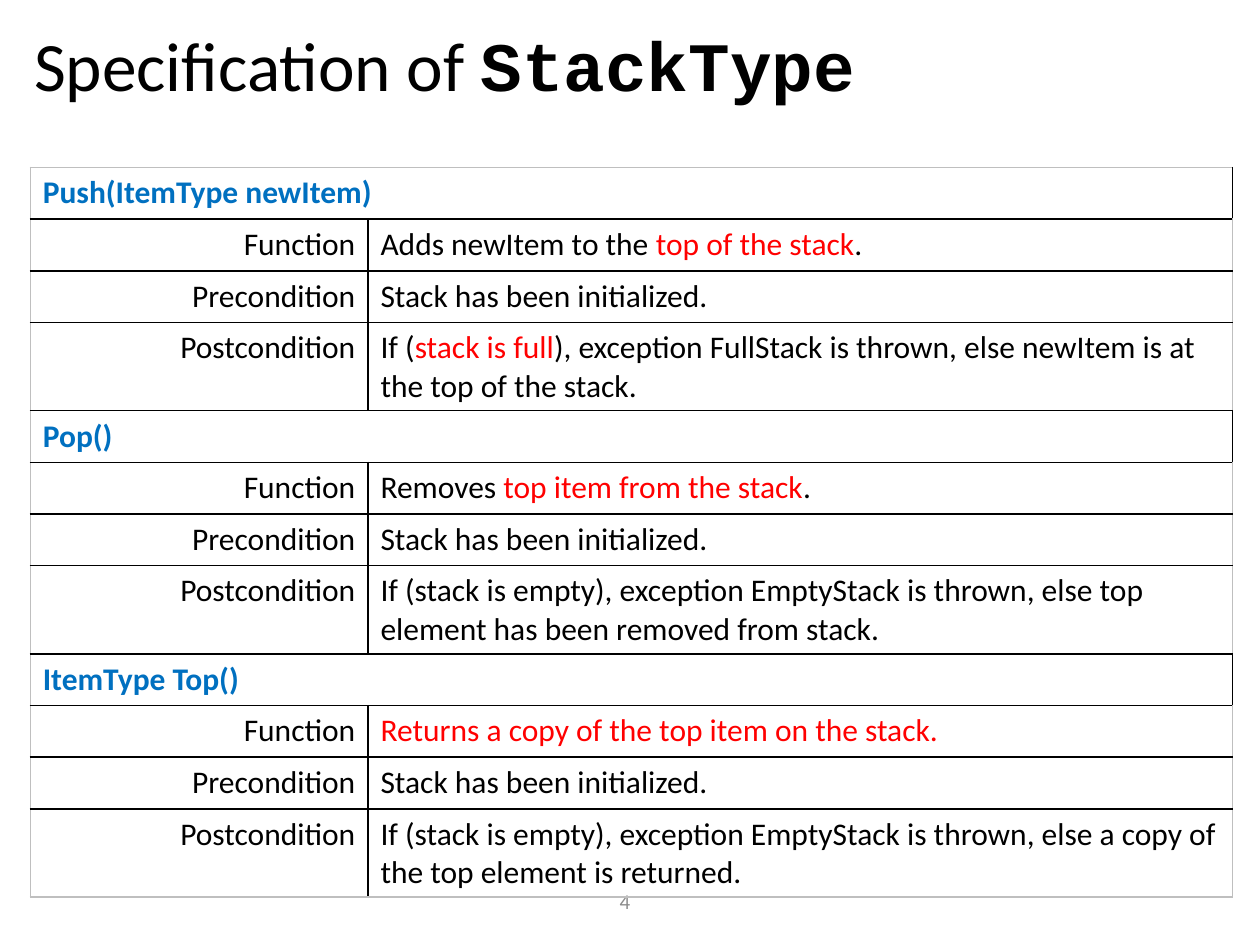
from lxml import etree
from pptx import Presentation
from pptx.dml.color import RGBColor
from pptx.enum import text
from pptx.oxml import ns
from pptx.util import Inches, Pt

BLACK = RGBColor(0x00, 0x00, 0x00)
BLUE = RGBColor(0x00, 0x70, 0xC0)
RED = RGBColor(0xFF, 0x00, 0x00)
GRAY = RGBColor(0x8C, 0x8C, 0x8C)
EDGE = RGBColor(0xBF, 0xBF, 0xBF)

LEFT, CENTER, RIGHT = text.PP_ALIGN.LEFT, text.PP_ALIGN.CENTER, text.PP_ALIGN.RIGHT
READY = [("Stack has been initialized.", {})]

# Each operation: signature, then its labelled conditions as runs
OPERATIONS = [
    ("Push(ItemType newItem)", {
        "Function": [("Adds newItem to the ", {}),
                     ("top of the stack", {"color": RED}), (".", {})],
        "Precondition": READY,
        "Postcondition": [("If (", {}), ("stack is full", {"color": RED}),
                          ("), exception FullStack is thrown, else newItem is at "
                           "the top of the stack.", {})],
    }),
    ("Pop()", {
        "Function": [("Removes ", {}),
                     ("top item from the stack", {"color": RED}), (".", {})],
        "Precondition": READY,
        "Postcondition": [("If (stack is empty), exception EmptyStack is thrown, else top "
                           "element has been removed from stack.", {})],
    }),
    ("ItemType Top()", {
        "Function": [("Returns a copy of the top item on the stack.", {"color": RED})],
        "Precondition": READY,
        "Postcondition": [("If (stack is empty), exception EmptyStack is thrown, else a copy "
                           "of the top element is returned.", {})],
    }),
]


def write(frame, runs, align=LEFT, size=18, spacing=None):
    """Fill the frame's first paragraph with (words, format) runs."""
    paragraph = frame.paragraphs[0]
    paragraph.alignment = align
    paragraph.line_spacing = spacing
    for words, style in runs:
        run = paragraph.add_run()
        run.text = words
        run.font.size = Pt(size)
        run.font.name = style.get("font", "Calibri")
        run.font.bold = style.get("bold", False)
        run.font.color.rgb = style.get("color", BLACK)


def set_borders(cell, colors):
    """Draw one-point borders, given as {side: colour} in the order L, R, T, B."""
    properties = cell._tc.get_or_add_tcPr()
    for side, color in colors.items():
        line = etree.SubElement(properties, ns.qn(f"a:ln{side}"), w=str(Pt(1)))
        fill = etree.SubElement(line, ns.qn("a:solidFill"))
        etree.SubElement(fill, ns.qn("a:srgbClr"), val=str(color))


def place_title(slide, left, top, width, height):
    title = slide.shapes.title
    title.left, title.top, title.width, title.height = left, top, width, height
    frame = title.text_frame
    frame.auto_size = text.MSO_AUTO_SIZE.NONE
    frame.vertical_anchor = text.MSO_ANCHOR.MIDDLE
    write(frame, [("Specification of ", {}),
                  ("StackType", {"font": "Courier New", "bold": True})],
          size=39.6, spacing=0.9)


def place_specification(slide, left, top, width, row_height):
    row_count = sum(1 + len(conditions) for _, conditions in OPERATIONS)
    table = slide.shapes.add_table(row_count, 2, left, top, width,
                                   row_height * row_count).table
    table.first_row = table.horz_banding = False
    label_width = Inches(2.68)
    table.columns[0].width = label_width
    table.columns[1].width = width - label_width

    # Borders: gray around the table, black inside
    for row in range(row_count):
        for column in range(2):
            cell = table.cell(row, column)
            set_borders(cell, {
                "L": EDGE if column == 0 else BLACK,
                "R": EDGE if column == 1 else BLACK,
                "T": EDGE if row == 0 else BLACK,
                "B": EDGE if row == row_count - 1 else BLACK,
            })
            cell.fill.background()

    # Signature row across both columns, then one row per condition
    row = 0
    for signature, conditions in OPERATIONS:
        heading = table.cell(row, 0)
        heading.merge(table.cell(row, 1))
        write(heading.text_frame, [(signature, {"color": BLUE, "bold": True})])
        for row, (label, runs) in enumerate(conditions.items(), row + 1):
            write(table.cell(row, 0).text_frame, [(label, {})], align=RIGHT)
            write(table.cell(row, 1).text_frame, runs)
        row += 1


def place_page_number(slide, left, top, width, height):
    frame = slide.shapes.add_textbox(left, top, width, height).text_frame
    frame.word_wrap = True
    frame.vertical_anchor = text.MSO_ANCHOR.MIDDLE
    write(frame, [("4", {"color": GRAY})], align=CENTER, size=12)


def main():
    deck = Presentation()
    deck.slide_width, deck.slide_height = Inches(10), Inches(7.5)
    slide = deck.slides.add_slide(deck.slide_layouts[5])
    place_page_number(slide, Inches(2.62), Inches(6.95), Inches(4.68), Inches(0.4))
    place_title(slide, Inches(0.17), Inches(0.18), Inches(9.62), Inches(0.74))
    place_specification(slide, Inches(0.24), Inches(1.33), Inches(9.54), Inches(0.41))
    deck.save("out.pptx")


if __name__ == "__main__":
    main()
